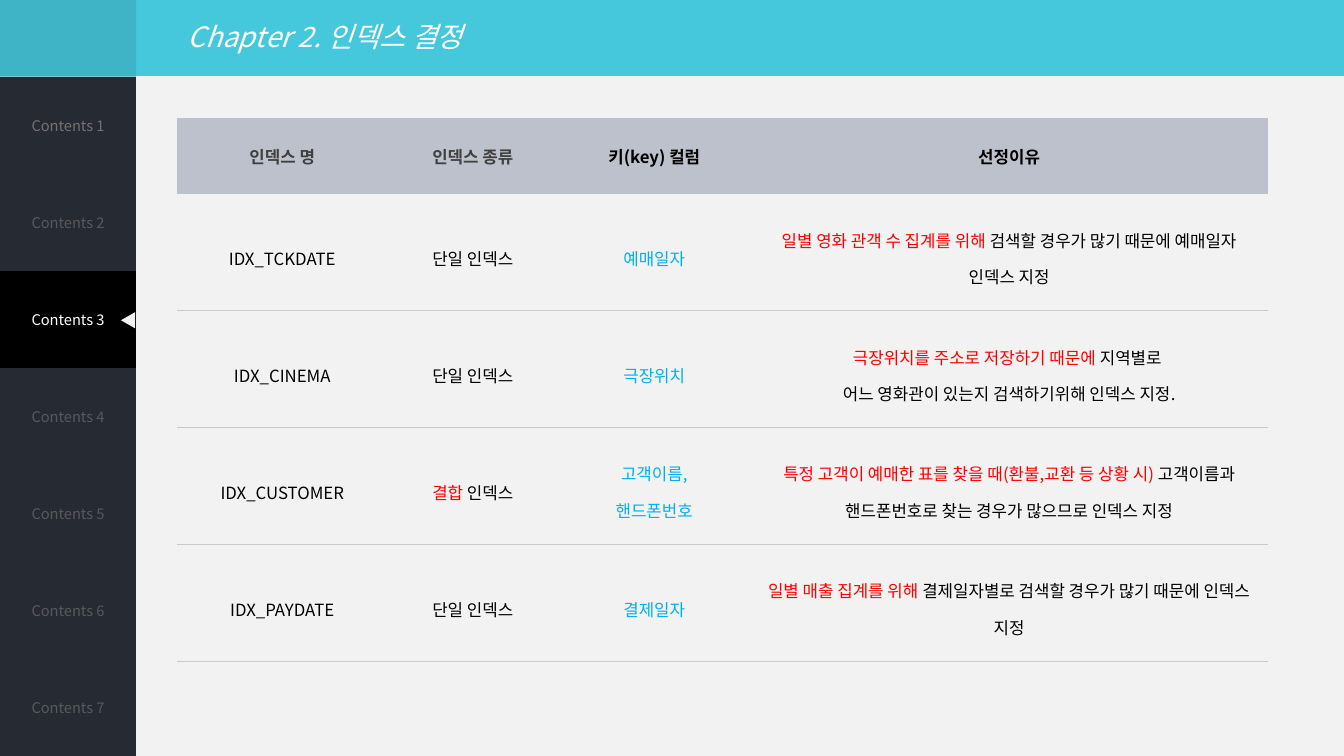
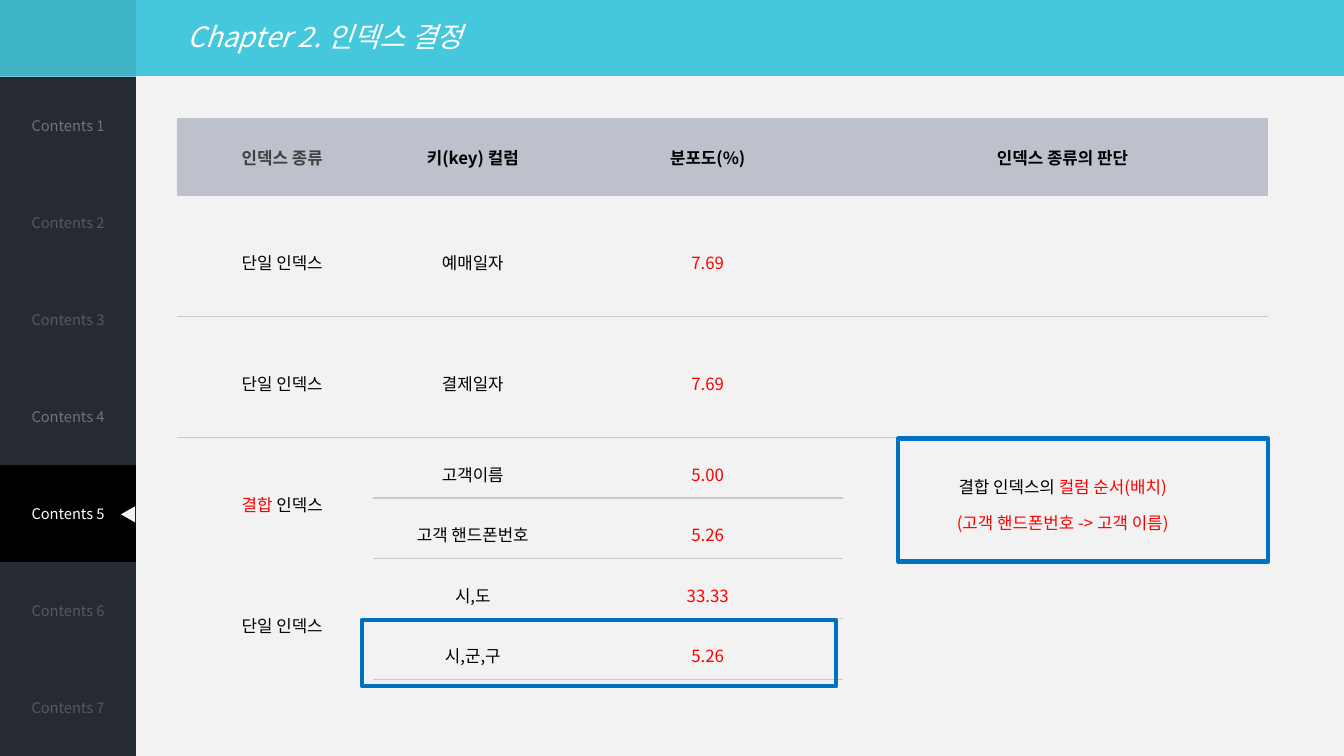
"""Builds two index design slides that share a title band and a contents sidebar."""
from itertools import product

from lxml.etree import SubElement
from pptx import Presentation
from pptx.dml.color import RGBColor
from pptx.enum.shapes import MSO_SHAPE as Shape
from pptx.enum.text import MSO_ANCHOR as Anchor, PP_ALIGN as Align
from pptx.oxml import parse_xml
from pptx.oxml.ns import nsdecls, qn
from pptx.util import Inches, Pt

TITLE = "Chapter 2. 인덱스 결정"
CHAPTERS = [f"Contents {number}" for number in range(1, 8)]

# Text runs are split by "|", and a run may start with "tone:".
SLIDES = [
    {
        "active": 2, "lit": {0},
        "columns": [1.94, 1.84, 1.76, 5.28],
        "rows": [0.75] + [1.16] * 4,
        "cells": [
            ["muted:인덱스 명", "muted:인덱스 종류", "키(key) 컬럼", "선정이유"],
            ["IDX_TCKDATE", "단일 인덱스", "sky:예매일자",
             "red:일별 영화 관객 수 집계를 위해 |검색할 경우가 많기 때문에 예매일자 인덱스 지정"],
            ["IDX_CINEMA", "단일 인덱스", "sky:극장위치",
             "red:극장위치를 주소로 저장하기 때문에 |지역별로 \n어느 영화관이 있는지 검색하기위해 인덱스 지정."],
            ["IDX_CUSTOMER", "red:결합| 인덱스", "sky:고객이름,\nsky:핸드폰번호",
             "red:특정 고객이 예매한 표를 찾을 때(환불,교환 등 상황 시) |고객이름과 핸드폰번호로 찾는 경우가 많으므로 인덱스 지정"],
            ["IDX_PAYDATE", "단일 인덱스", "sky:결제일자",
             "red:일별 매출 집계를 위해 |결제일자별로 검색할 경우가 많기 때문에 인덱스 지정"],
        ],
        "merges": [], "highlights": [],
    },
    {
        "active": 4, "lit": {0, 3},
        "columns": [1.94, 1.84, 2.82, 4.22],
        "rows": [0.77] + [1.2] * 2 + [0.6] * 4,
        "cells": [
            ["muted:인덱스 종류", "키(key) 컬럼", "분포도(%)", "인덱스 종류의 판단"],
            ["단일 인덱스", "예매일자", "red:7.69", ""],
            ["단일 인덱스", "결제일자", "red:7.69", ""],
            ["red:결합| 인덱스", "고객이름", "red:5.00",
             "결합 인덱스의 |red:컬럼 순서(배치)\nred:(고객 핸드폰번호 -> 고객 이름)"],
            ["", "고객 핸드폰번호", "red:5.26", ""],
            ["단일 인덱스", "시,도", "red:33.33", ""],
            ["", "시,군,구", "red:5.26", ""],
        ],
        "merges": list(product((3, 5), (0, 3))),
        "highlights": [(3.59, 6.15, 4.7, 0.66), (8.91, 4.35, 3.67, 1.22)],
    },
]

THEME = {
    "font": "Noto Sans CJK KR",
    "title_size": 20, "body_size": 12, "sidebar_size": 10.5,
    "band": "45C8DC", "corner": "3EB4C6", "paper": "F2F2F2",
    "sidebar": "262A33", "active": "000000", "white": "FFFFFF",
    "lit": "767171", "dim": "595959",
    "header": "BDC1CB", "rule": "CACACA", "muted": "404040",
    "ink": "000000", "red": "FF0000", "sky": "00B0F0", "frame": "0070C0",
}
WIDTH, HEIGHT = 13.33, 7.5
BAND, SIDEBAR = 0.76, 1.35
TABLE_LEFT, TABLE_TOP = 1.76, 1.17
CELL_MARGINS = {"margin_left": 0.24, "margin_top": 0.05, "margin_right": 0.1, "margin_bottom": 0.05}
NO_STYLE = "{2D5ABB26-0587-4C30-8999-92F81FD0307C}"


def tone(name):
    return RGBColor.from_string(THEME[name])


def write(frame, text, size, default="ink", align=Align.CENTER, spacing=None, **formats):
    for index, line in enumerate(text.split("\n")):
        paragraph = frame.add_paragraph() if index else frame.paragraphs[0]
        paragraph.alignment, paragraph.line_spacing = align, spacing
        for part in line.split("|"):
            name, _, words = part.rpartition(":")
            run = paragraph.add_run()
            run.text = words
            run.font.color.rgb = tone(name or default)
            settings = {"name": THEME["font"], "size": Pt(THEME[size]), **formats}
            for key, value in settings.items():
                setattr(run.font, key, value)
            SubElement(run.font._element, qn("a:ea"), typeface=THEME["font"])


def add_grid(slide, left, top, columns, rows):
    holder = slide.shapes.add_table(
        len(rows), len(columns), *map(Inches, (left, top, sum(columns), sum(rows))))
    grid = holder.table
    grid.first_row = grid.horz_banding = False
    grid._tbl.tblPr.find(qn("a:tableStyleId")).text = NO_STYLE
    for column, width in zip(grid.columns, columns):
        column.width = Inches(width)
    for row, height in zip(grid.rows, rows):
        row.height = Inches(height)
    for cell in grid.iter_cells():
        cell.vertical_anchor = Anchor.MIDDLE
    return grid


def paint(target, name):
    target.fill.solid()
    target.fill.fore_color.rgb = tone(name)


def add_block(slide, kind, box, fill=None, line=None):
    block = slide.shapes.add_shape(kind, *map(Inches, box))
    block.shadow.inherit = False
    if fill:
        paint(block, fill)
        block.line.fill.background()
    else:
        block.fill.background()
        block.line.color.rgb, block.line.width = tone(line), Pt(3)
    return block


def underline(cell):
    cell._tc.get_or_add_tcPr().insert(0, parse_xml(
        f'<a:lnB {nsdecls("a")} w="12700"><a:solidFill>'
        f'<a:srgbClr val="{THEME["rule"]}"/></a:solidFill></a:lnB>'))


def add_frame(slide, active, lit):
    heading = slide.shapes.add_textbox(*map(Inches, (TABLE_LEFT, 0.14, 10.64, 0.44))).text_frame
    heading.word_wrap, heading.vertical_anchor = True, Anchor.MIDDLE
    write(heading, TITLE, "title_size", "white", Align.LEFT, italic=True)
    add_block(slide, Shape.RECTANGLE, (0, 0, SIDEBAR, BAND), "corner")
    step = (HEIGHT - BAND) / len(CHAPTERS)
    sidebar = add_grid(slide, 0, BAND, [SIDEBAR], [step] * len(CHAPTERS))
    for index, chapter in enumerate(CHAPTERS):
        cell = sidebar.cell(index, 0)
        paint(cell, "active" if index == active else "sidebar")
        color = "white" if index == active else "lit" if index in lit else "dim"
        write(cell.text_frame, chapter, "sidebar_size", color)
    middle = BAND + (active + 0.5) * step
    pointer = add_block(slide, Shape.ISOSCELES_TRIANGLE,
                        (SIDEBAR - 0.16, middle - 0.06, 0.16, 0.14), "paper")
    pointer.rotation = 270


def add_index_table(slide, content):
    grid = add_grid(slide, TABLE_LEFT, TABLE_TOP, content["columns"], content["rows"])
    for row, texts in enumerate(content["cells"]):
        for column, text in enumerate(texts):
            cell = grid.cell(row, column)
            for side, margin in CELL_MARGINS.items():
                setattr(cell, side, Inches(margin))
            if row:
                cell.fill.background()
                if (row, column) not in content["merges"]:
                    underline(cell)
            else:
                paint(cell, "header")
            if text:
                write(cell.text_frame, text, "body_size",
                      spacing=1.5 if row else None, bold=not row)
    for row, column in content["merges"]:
        grid.cell(row, column).merge(grid.cell(row + 1, column))


def main():
    deck = Presentation()
    deck.slide_width, deck.slide_height = Inches(WIDTH), Inches(HEIGHT)
    backdrop = deck.slide_master.background.fill
    backdrop.gradient()
    backdrop.gradient_angle = 270
    for stop, name in zip(backdrop.gradient_stops, ("band", "paper")):
        stop.position, stop.color.rgb = 0.1, tone(name)
    for content in SLIDES:
        slide = deck.slides.add_slide(deck.slide_layouts[6])
        add_frame(slide, content["active"], content["lit"])
        add_index_table(slide, content)
        for box in content["highlights"]:
            add_block(slide, Shape.RECTANGLE, box, line="frame")
    deck.save("out.pptx")


if __name__ == "__main__":
    main()
